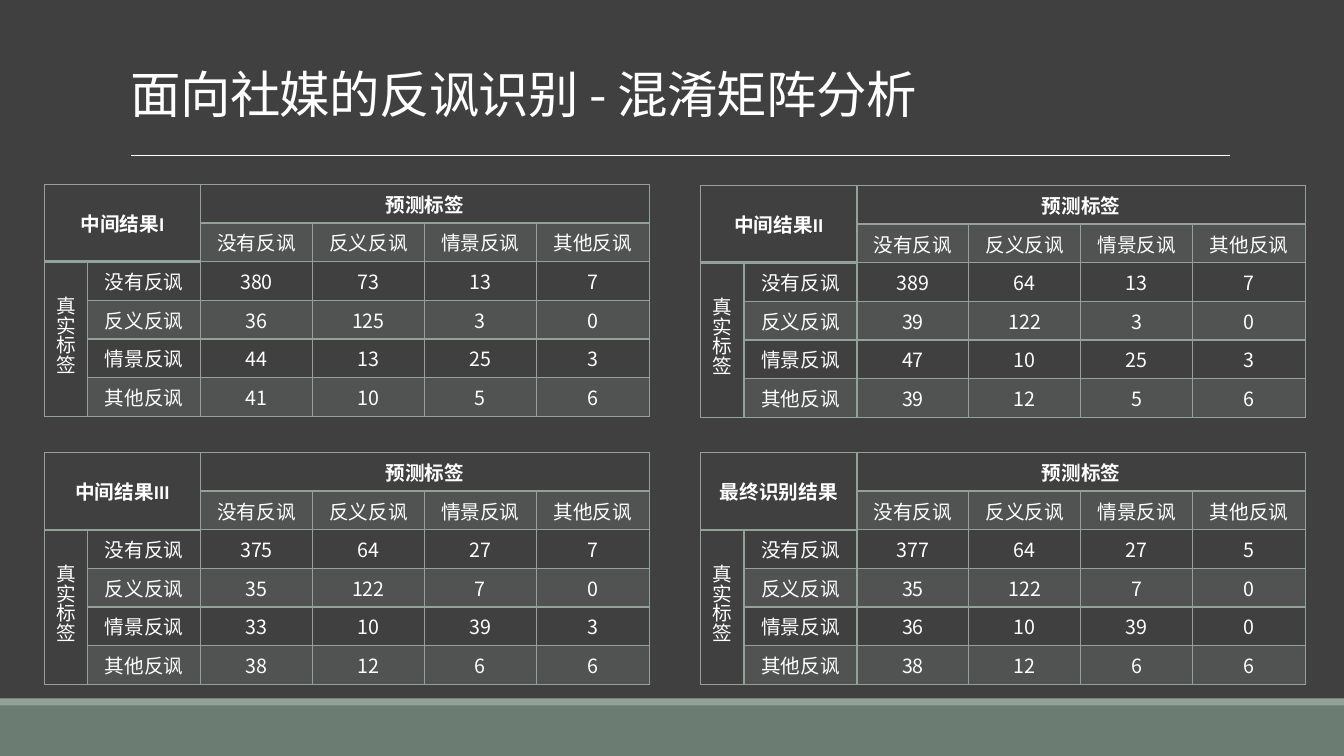
from dataclasses import dataclass

from lxml.etree import SubElement
from pptx import Presentation
from pptx.dml.color import RGBColor
from pptx.enum.shapes import MSO_CONNECTOR, MSO_SHAPE
from pptx.enum.text import MSO_ANCHOR, PP_ALIGN
from pptx.oxml.ns import qn
from pptx.util import Inches, Pt


@dataclass(frozen=True)
class Theme:
    background: str = "404040"
    footer: str = "6B7D72"
    accent: str = "93A299"
    text: str = "FFFFFF"
    font: str = "Noto Sans CJK SC"
    numeral_font: str = "Calibri"
    title_size: int = 36
    table_size: int = 14
    thin: float = 1
    thick: float = 2
    band_opacity: int = 20


THEME = Theme()
LABELS = ["没有反讽", "反义反讽", "情景反讽", "其他反讽"]
COLUMN_WIDTHS = [0.43, 1.12, 1.11, 1.11, 1.11, 1.12]
MATRICES = [
    (0.44, 1.83, ["中间结果", "I"],
     [[380, 73, 13, 7], [36, 125, 3, 0], [44, 13, 25, 3], [41, 10, 5, 6]]),
    (6.95, 1.84, ["中间结果", "II"],
     [[389, 64, 13, 7], [39, 122, 3, 0], [47, 10, 25, 3], [39, 12, 5, 6]]),
    (0.44, 4.49, ["中间结果", "III"],
     [[375, 64, 27, 7], [35, 122, 7, 0], [33, 10, 39, 3], [38, 12, 6, 6]]),
    (6.95, 4.49, ["最终识别结果"],
     [[377, 64, 27, 5], [35, 122, 7, 0], [36, 10, 39, 0], [38, 12, 6, 6]]),
]


def rgb(color):
    return RGBColor.from_string(color)


def style_span(span, size, bold=False, font=THEME.font):
    span.font.size = Pt(size)
    span.font.bold = bold
    span.font.name = font
    span.font.color.rgb = rgb(THEME.text)
    SubElement(span.font._element, qn("a:ea"), typeface=THEME.font)


def add_bar(slide, top, height, color):
    bar = slide.shapes.add_shape(MSO_SHAPE.RECTANGLE, 0, Inches(top),
                                 Inches(13.33), Inches(height))
    bar.shadow.inherit = False
    bar.fill.solid()
    bar.fill.fore_color.rgb = rgb(color)
    bar.line.fill.background()


def add_rule(slide, left, right, top):
    rule = slide.shapes.add_connector(MSO_CONNECTOR.STRAIGHT, Inches(left), Inches(top),
                                      Inches(right), Inches(top))
    rule.line.color.rgb = rgb(THEME.text)
    rule.line.width = Pt(0.5)
    SubElement(rule._element.spPr, qn("a:effectLst"))


def add_title(slide, text):
    box = slide.shapes.add_textbox(Inches(1.2), Inches(-0.31), Inches(11), Inches(1.59))
    frame = box.text_frame
    frame.word_wrap = True
    frame.vertical_anchor = MSO_ANCHOR.BOTTOM
    frame.text = text
    para = frame.paragraphs[0]
    para.line_spacing = 0.85
    span = para.runs[0]
    style_span(span, THEME.title_size)
    span.font._element.set("spc", "-50")


def set_borders(cell, bottom):
    properties = cell._tc.get_or_add_tcPr()
    widths = {"lnL": THEME.thin, "lnR": THEME.thin, "lnT": THEME.thin, "lnB": bottom}
    for side, width in widths.items():
        line = SubElement(properties, qn(f"a:{side}"), w=str(Pt(width)))
        fill = SubElement(line, qn("a:solidFill"))
        SubElement(fill, qn("a:srgbClr"), val=THEME.accent)


def set_fill(cell, banded):
    if not banded:
        cell.fill.background()
        return
    cell.fill.solid()
    cell.fill.fore_color.rgb = rgb(THEME.accent)
    color = cell._tc.tcPr.find(f"{qn('a:solidFill')}/{qn('a:srgbClr')}")
    SubElement(color, qn("a:alpha"), val=str(THEME.band_opacity * 1000))


def write_cell(cell, parts, bold=False):
    """Write the parts as runs; any part after the first is a numeral."""
    cell.vertical_anchor = MSO_ANCHOR.MIDDLE
    para = cell.text_frame.paragraphs[0]
    para.alignment = PP_ALIGN.CENTER
    for index, part in enumerate(parts):
        span = para.add_run()
        span.text = part
        font = THEME.numeral_font if index else THEME.font
        style_span(span, THEME.table_size, bold, font)


def add_confusion_matrix(slide, left, top, name, counts):
    table = slide.shapes.add_table(6, 6, Inches(left), Inches(top),
                                   Inches(6), Inches(2.3)).table
    table.first_row = False
    table.horz_banding = False
    for column, width in zip(table.columns, COLUMN_WIDTHS):
        column.width = Inches(width)

    for row in range(6):
        for column in range(6):
            cell = table.cell(row, column)
            heading = row == 0 or (row == 1 and column < 2)
            set_borders(cell, THEME.thick if heading else THEME.thin)
            in_body = column >= 2 or (column == 1 and row >= 2)
            set_fill(cell, row % 2 == 1 and in_body)

    corner, predicted, actual = table.cell(0, 0), table.cell(0, 2), table.cell(2, 0)
    corner.merge(table.cell(1, 1))
    predicted.merge(table.cell(0, 5))
    actual.merge(table.cell(5, 0))
    write_cell(corner, name, bold=True)
    write_cell(predicted, ["预测标签"], bold=True)
    write_cell(actual, ["真实标签"])
    actual._tc.tcPr.set("vert", "eaVert")
    actual.text_frame.paragraphs[0].line_spacing = Pt(THEME.table_size)

    for index, (label, values) in enumerate(zip(LABELS, counts), start=2):
        write_cell(table.cell(1, index), [label])
        write_cell(table.cell(index, 1), [label])
        for column, value in enumerate(values, start=2):
            write_cell(table.cell(index, column), [str(value)])


def main():
    deck = Presentation()
    deck.slide_width, deck.slide_height = Inches(13.33), Inches(7.5)
    slide = deck.slides.add_slide(deck.slide_layouts[6])
    slide.background.fill.solid()
    slide.background.fill.fore_color.rgb = rgb(THEME.background)

    add_bar(slide, 7, 0.5, THEME.footer)
    add_bar(slide, 6.93, 0.07, THEME.accent)
    add_rule(slide, 1.3, 12.2, 1.54)
    add_title(slide, "面向社媒的反讽识别 - 混淆矩阵分析")
    for matrix in MATRICES:
        add_confusion_matrix(slide, *matrix)
    deck.save("out.pptx")


if __name__ == "__main__":
    main()
